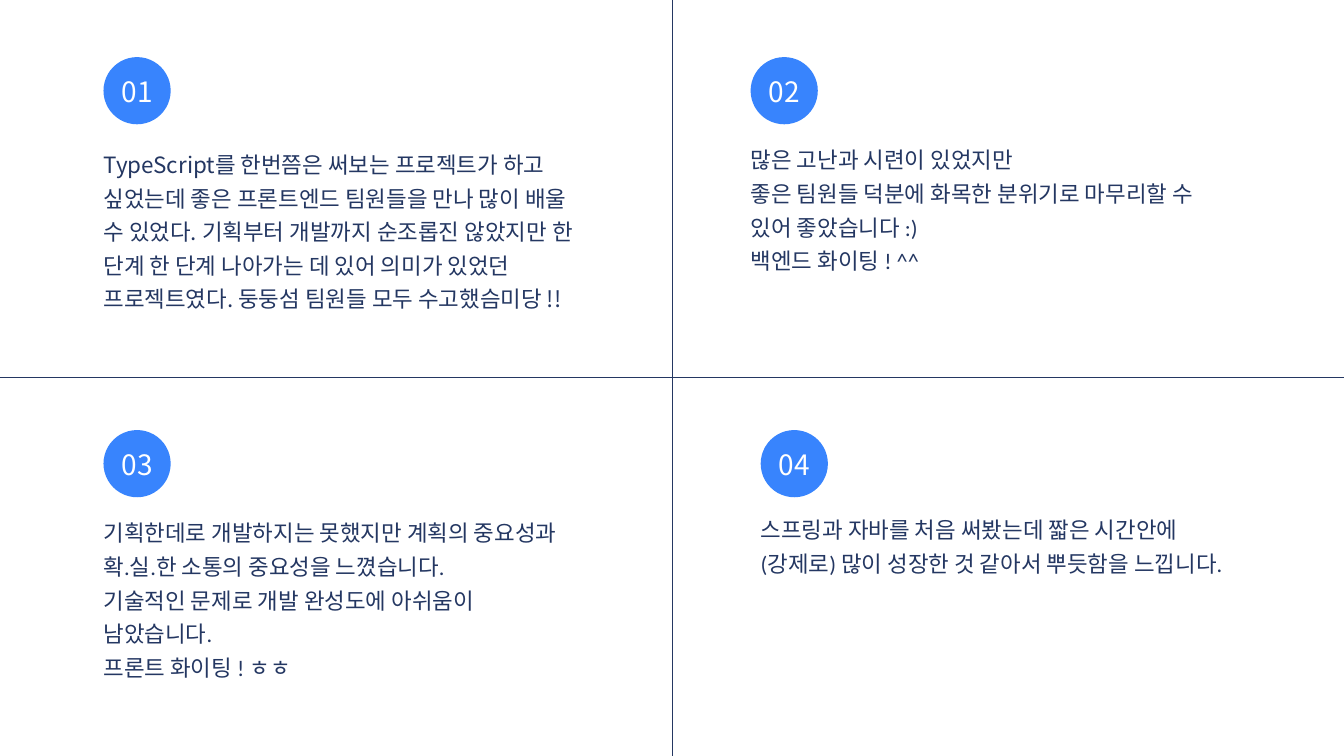
from lxml import etree
from pptx import Presentation
from pptx import util as u
from pptx.dml.color import RGBColor
from pptx.enum import shapes, text
from pptx.oxml.ns import qn

NAVY = RGBColor(0x24, 0x37, 0x62)
BLUE = RGBColor(0x38, 0x84, 0xFD)
WHITE = RGBColor(0xFF, 0xFF, 0xFF)
NOTO = "Noto Sans CJK KR"
WIDE, HIGH = 20, 11.25

# number, left, circle top, note top, note height, note font, paragraphs
NOTES = [
    ("01", 1.54, 0.85, 2.15, 2.47, NOTO, [
        "TypeScript를 한번쯤은 써보는 프로젝트가 하고 싶었는데 좋은 프론트엔드 "
        "팀원들을 만나 많이 배울 수 있었다. 기획부터 개발까지 순조롭진 않았지만 "
        "한 단계 한 단계 나아가는 데 있어 의미가 있었던 프로젝트였다. "
        "둥둥섬 팀원들 모두 수고했슴미당 !!"]),
    ("02", 11.17, 0.85, 2.08, 1.99, "Calibri", [
        "많은 고난과 시련이 있었지만",
        "좋은 팀원들 덕분에 화목한 분위기로 마무리할 수 있어 좋았습니다 :)",
        "백엔드 화이팅 ! ^^"]),
    ("03", 1.54, 6.4, 7.63, 2.49, "Calibri", [
        "기획한데로 개발하지는 못했지만 계획의 중요성과 확.실.한 소통의 중요성을 느꼈습니다.",
        "기술적인 문제로 개발 완성도에 아쉬움이 남았습니다.",
        "프론트 화이팅 ! ㅎㅎ"]),
    ("04", 11.32, 6.4, 7.58, 0.99, "Calibri", [
        "스프링과 자바를 처음 써봤는데 짧은 시간안에 (강제로) 많이 성장한 것 같아서 "
        "뿌듯함을 느낍니다."]),
]


class Board:
    def __init__(self, slide, ink=NAVY, fill=BLUE):
        self.slide, self.ink, self.fill = slide, ink, fill

    def line(self, x1, y1, x2, y2):
        ends = [u.Inches(v) for v in (x1, y1, x2, y2)]
        rule = self.slide.shapes.add_connector(shapes.MSO_CONNECTOR.STRAIGHT, *ends)
        rule.line.color.rgb = self.ink
        rule.line.width = u.Pt(0.75)
        etree.SubElement(rule._element.spPr, qn("a:effectLst"))

    def disc(self, x, y, size=1):
        box = [u.Inches(v) for v in (x, y, size, size)]
        disc = self.slide.shapes.add_shape(shapes.MSO_SHAPE.OVAL, *box)
        disc.shadow.inherit = False
        disc.fill.solid()
        disc.fill.fore_color.rgb = self.fill
        disc.line.fill.background()

    def text(self, lines, x, y, w, h, size=24, lead=36, font=NOTO,
             color=None, align=text.PP_ALIGN.LEFT):
        box = self.slide.shapes.add_textbox(*[u.Inches(v) for v in (x, y, w, h)])
        frame = box.text_frame
        frame.word_wrap = True
        frame.auto_size = text.MSO_AUTO_SIZE.SHAPE_TO_FIT_TEXT
        frame.margin_left = frame.margin_right = 0
        frame.margin_top = frame.margin_bottom = 0
        for i, line in enumerate(lines):
            para = frame.add_paragraph() if i else frame.paragraphs[0]
            para.alignment = align
            para.line_spacing = u.Pt(lead)
            run = para.add_run()
            run.text = line
            run.font.size = u.Pt(size)
            run.font.name = font
            run.font.color.rgb = color or self.ink
            # Hangul takes its face from the East Asian font
            etree.SubElement(run.font._element, qn("a:ea"), typeface=NOTO)

    def badge(self, label, x, y):
        self.disc(x, y)
        self.text([label], x + 0.115, y + 0.18, 0.77, 0.57, size=30, lead=42,
                  color=WHITE, align=text.PP_ALIGN.CENTER)


def main():
    deck = Presentation()
    deck.slide_width, deck.slide_height = u.Inches(WIDE), u.Inches(HIGH)
    board = Board(deck.slides.add_slide(deck.slide_layouts[6]))
    board.line(0, 5.61, WIDE, 5.61)
    board.line(WIDE / 2, 0, WIDE / 2, HIGH)
    for label, x, y, top, high, font, lines in NOTES:
        board.badge(label, x, y)
        board.text(lines, x, top, 7, high, font=font)
    deck.save("out.pptx")


if __name__ == "__main__":
    main()
